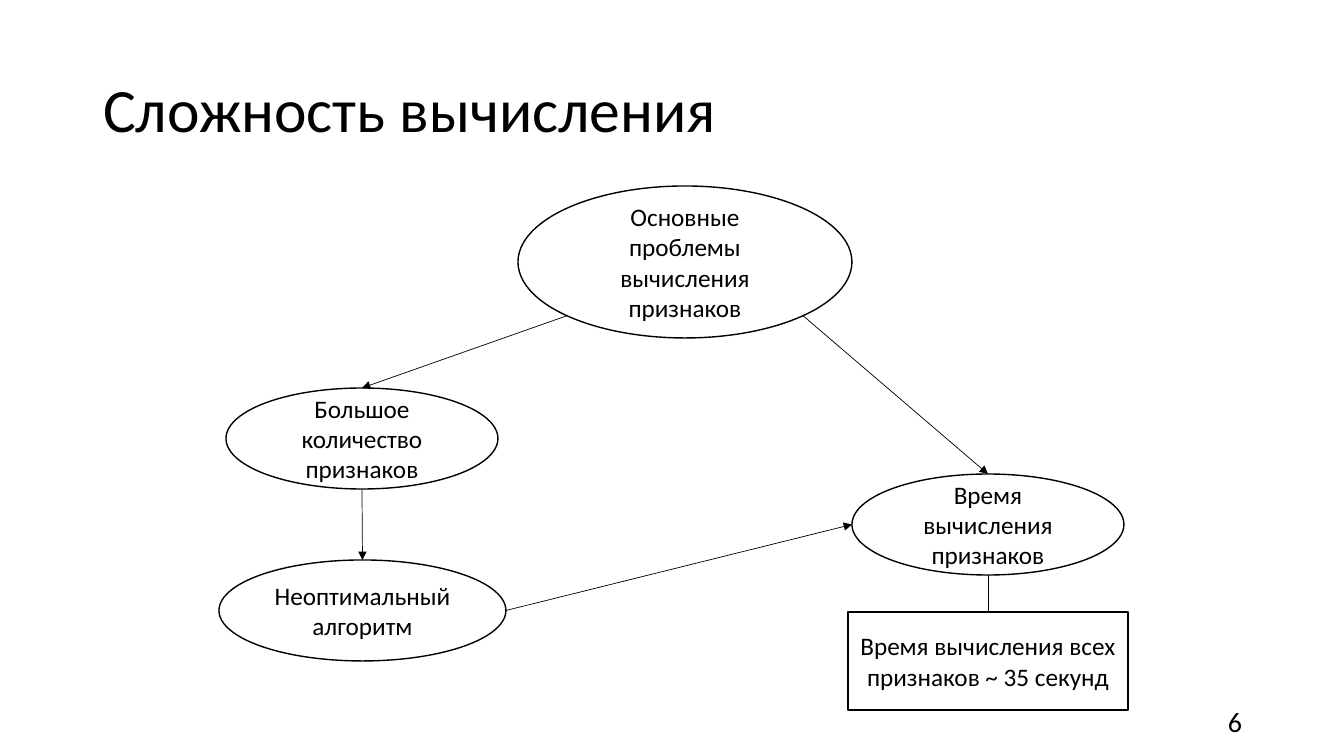
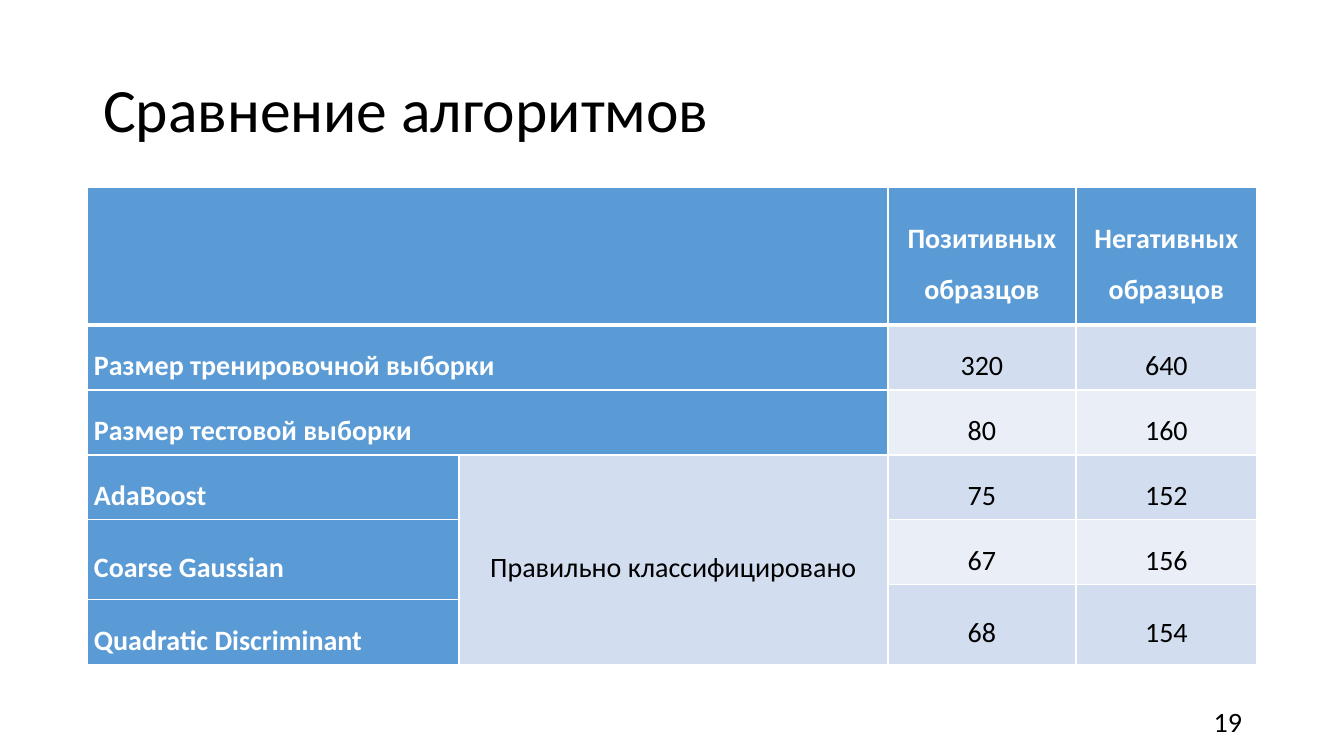
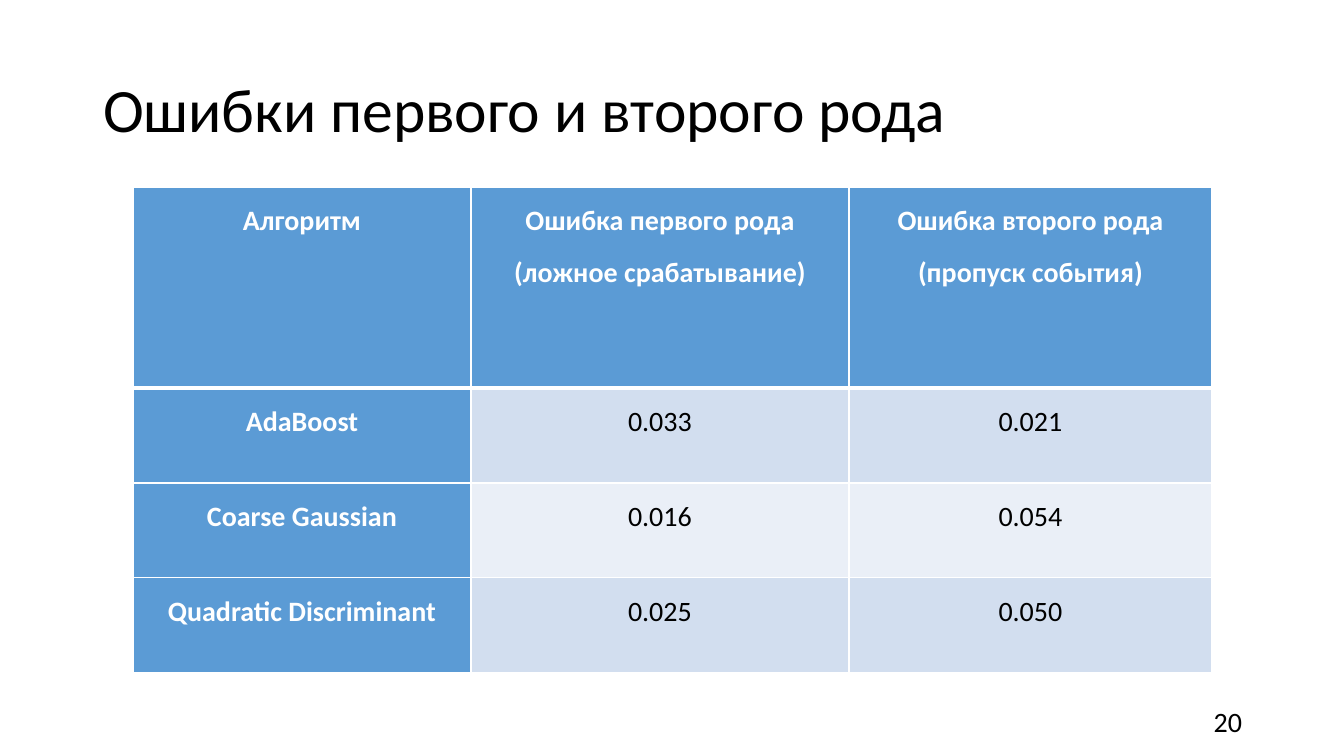
import math
import pptx
import pptx.util
import pptx.dml.color
import pptx.enum.shapes
import pptx.enum.text
import pptx.oxml
import pptx.oxml.ns
from dataclasses import dataclass

ALIGN = pptx.enum.text.PP_ALIGN
ANCHOR = pptx.enum.text.MSO_ANCHOR
SHAPE = pptx.enum.shapes.MSO_SHAPE

PROBLEMS = {
    "title": "Сложность вычисления",
    "number": "6",
    "nodes": {
        "problems": ("Основные проблемы вычисления признаков", SHAPE.OVAL, (518, 186, 334, 152)),
        "count": ("Большое количество признаков", SHAPE.OVAL, (226, 388, 272, 101)),
        "time": ("Время вычисления признаков", SHAPE.OVAL, (852, 474, 272, 101)),
        "algorithm": ("Неоптимальный алгоритм", SHAPE.OVAL, (219, 560, 287, 101)),
        "duration": ("Время вычисления всех признаков ~ 35 секунд", SHAPE.RECTANGLE, (848, 612, 280, 98)),
    },
    "links": [
        ("problems", "bottom left", "count", "top", True),
        ("problems", "bottom right", "time", "top", True),
        ("count", "bottom", "algorithm", "top", True),
        ("algorithm", "right", "time", "left", True),
        ("time", "bottom", "duration", "top", False),
    ],
}

COMPARISON = {
    "title": "Сравнение алгоритмов",
    "number": "19",
    "origin": (87, 187),
    "columns": [372, 429, 188, 181],
    "heights": [138, 65, 65, 65, 65, 15, 65],
    "anchor": ANCHOR.MIDDLE,
    "label_align": ALIGN.JUSTIFY,
    "rows": [
        ["", "", "Позитивных образцов", "Негативных образцов"],
        ["Размер тренировочной выборки", "", "320", "640"],
        ["Размер тестовой выборки", "", "80", "160"],
        ["AdaBoost", "Правильно классифицировано", "75", "152"],
        ["Coarse Gaussian", "", "67", "156"],
        ["", "", "68", "154"],
        ["Quadratic Discriminant", "", "", ""],
    ],
    "merges": [
        ((0, 0), (0, 1)), ((1, 0), (1, 1)), ((2, 0), (2, 1)),
        ((3, 1), (6, 1)), ((4, 0), (5, 0)), ((5, 2), (6, 2)), ((5, 3), (6, 3)),
    ],
}

ERRORS = {
    "title": "Ошибки первого и второго рода",
    "number": "20",
    "origin": (133, 187),
    "columns": [338, 378, 363],
    "heights": [201, 95, 95, 95],
    "anchor": ANCHOR.TOP,
    "label_align": ALIGN.CENTER,
    "rows": [
        ["Алгоритм", "Ошибка первого рода (ложное срабатывание)", "Ошибка второго рода (пропуск события)"],
        ["AdaBoost", "0.033", "0.021"],
        ["Coarse Gaussian", "0.016", "0.054"],
        ["Quadratic Discriminant", "0.025", "0.050"],
    ],
    "merges": [],
}


@dataclass(frozen=True)
class Theme:
    font: str = "Calibri"
    ink: str = "000000"
    paper: str = "FFFFFF"
    accent: str = "5B9BD5"
    band_dark: str = "D2DEEF"
    band_light: str = "EAEFF7"
    title_size: int = 44
    node_size: int = 18
    table_size: int = 20
    number_size: int = 20
    outline: float = 1
    link: float = 0.5
    grid: float = 1
    header_rule: float = 3


THEME = Theme()
SLIDE_SIZE = (1344, 756)
TITLE_BOX = (93, 40, 1159, 146)
NUMBER_BOX = (950, 701, 302, 40)
CELL_MARGIN = 7
DIAGONAL = math.sqrt(0.5)
SITES = {
    "top": (0, -1),
    "bottom": (0, 1),
    "left": (-1, 0),
    "right": (1, 0),
    "bottom left": (-DIAGONAL, DIAGONAL),
    "bottom right": (DIAGONAL, DIAGONAL),
}


def px(length):
    return round(length * 914400 / 100.8)


def color(code):
    return pptx.dml.color.RGBColor.from_string(code)


def write(frame, text, size, ink=THEME.ink, align=ALIGN.LEFT, bold=False):
    frame.text = text
    frame.word_wrap = True
    para = frame.paragraphs[0]
    para.alignment = align
    for font in [para.font] + [span.font for span in para.runs]:
        font.name = THEME.font
        font.size = pptx.util.Pt(size)
        font.bold = bold
        font.color.rgb = color(ink)
    return para


def add_page(deck, content):
    page = deck.slides.add_slide(deck.slide_layouts[5])
    title = page.shapes.title
    title.left, title.top, title.width, title.height = map(px, TITLE_BOX)
    para = write(title.text_frame, content["title"], THEME.title_size)
    para.line_spacing = 0.9
    title.text_frame.vertical_anchor = ANCHOR.MIDDLE
    number = page.shapes.add_textbox(*map(px, NUMBER_BOX))
    write(number.text_frame, content["number"], THEME.number_size, align=ALIGN.RIGHT)
    number.text_frame.vertical_anchor = ANCHOR.MIDDLE
    return page


def add_node(page, text, kind, place):
    node = page.shapes.add_shape(kind, *map(px, place))
    node.shadow.inherit = False
    node.fill.solid()
    node.fill.fore_color.rgb = color(THEME.paper)
    node.line.color.rgb = color(THEME.ink)
    node.line.width = pptx.util.Pt(THEME.outline)
    write(node.text_frame, text, THEME.node_size, align=ALIGN.CENTER)
    node.text_frame.vertical_anchor = ANCHOR.MIDDLE


def site_point(place, site):
    left, top, width, height = place
    across, down = SITES[site]
    return px(left + width / 2 * (1 + across)), px(top + height / 2 * (1 + down))


def add_link(page, start, end, arrow):
    link = page.shapes.add_connector(pptx.enum.shapes.MSO_CONNECTOR.STRAIGHT, *start, *end)
    link.line.color.rgb = color(THEME.ink)
    link.line.width = pptx.util.Pt(THEME.link)
    if arrow:
        tail = pptx.oxml.parse_xml(f'<a:tailEnd {pptx.oxml.ns.nsdecls("a")} type="triangle"/>')
        link.line._get_or_add_ln().append(tail)
    link._element.spPr.append(pptx.oxml.parse_xml(f'<a:effectLst {pptx.oxml.ns.nsdecls("a")}/>'))


def add_diagram(deck, content):
    page = add_page(deck, content)
    nodes = content["nodes"]
    for text, kind, place in nodes.values():
        add_node(page, text, kind, place)
    for source, source_site, target, target_site, arrow in content["links"]:
        start = site_point(nodes[source][2], source_site)
        end = site_point(nodes[target][2], target_site)
        add_link(page, start, end, arrow)


def add_borders(cell, row):
    for side in "LRTB":
        heavy = (row, side) in ((0, "B"), (1, "T"))
        width = pptx.util.Pt(THEME.header_rule if heavy else THEME.grid)
        cell._tc.get_or_add_tcPr().append(pptx.oxml.parse_xml(
            f'<a:ln{side} {pptx.oxml.ns.nsdecls("a")} w="{width}"><a:solidFill>'
            f'<a:srgbClr val="{THEME.paper}"/></a:solidFill></a:ln{side}>'))


def format_cell(cell, text, row, column, content):
    header = row == 0 or column == 0
    band = THEME.band_dark if row % 2 else THEME.band_light
    add_borders(cell, row)
    cell.fill.solid()
    cell.fill.fore_color.rgb = color(THEME.accent if header else band)
    cell.margin_left = cell.margin_right = px(CELL_MARGIN)
    cell.margin_top = cell.margin_bottom = 0
    cell.vertical_anchor = content["anchor"]
    if text:
        align = content["label_align"] if column == 0 and row else ALIGN.CENTER
        ink = THEME.paper if header else THEME.ink
        para = write(cell.text_frame, text, THEME.table_size, ink, align, header)
        para.line_spacing = 1.5
        para.space_after = pptx.util.Pt(6)


def add_table_page(deck, content):
    page = add_page(deck, content)
    rows, columns, heights = content["rows"], content["columns"], content["heights"]
    place = (*content["origin"], sum(columns), sum(heights))
    table = page.shapes.add_table(len(rows), len(columns), *map(px, place)).table
    table.horz_banding = False
    for column, width in zip(table.columns, columns):
        column.width = px(width)
    for row, height in zip(table.rows, heights):
        row.height = px(height)
    for first, last in content["merges"]:
        table.cell(*first).merge(table.cell(*last))
    for row, texts in enumerate(rows):
        for column, text in enumerate(texts):
            format_cell(table.cell(row, column), text, row, column, content)


deck = pptx.Presentation()
deck.slide_width, deck.slide_height = map(px, SLIDE_SIZE)
add_diagram(deck, PROBLEMS)
for content in (COMPARISON, ERRORS):
    add_table_page(deck, content)
deck.save("out.pptx")
